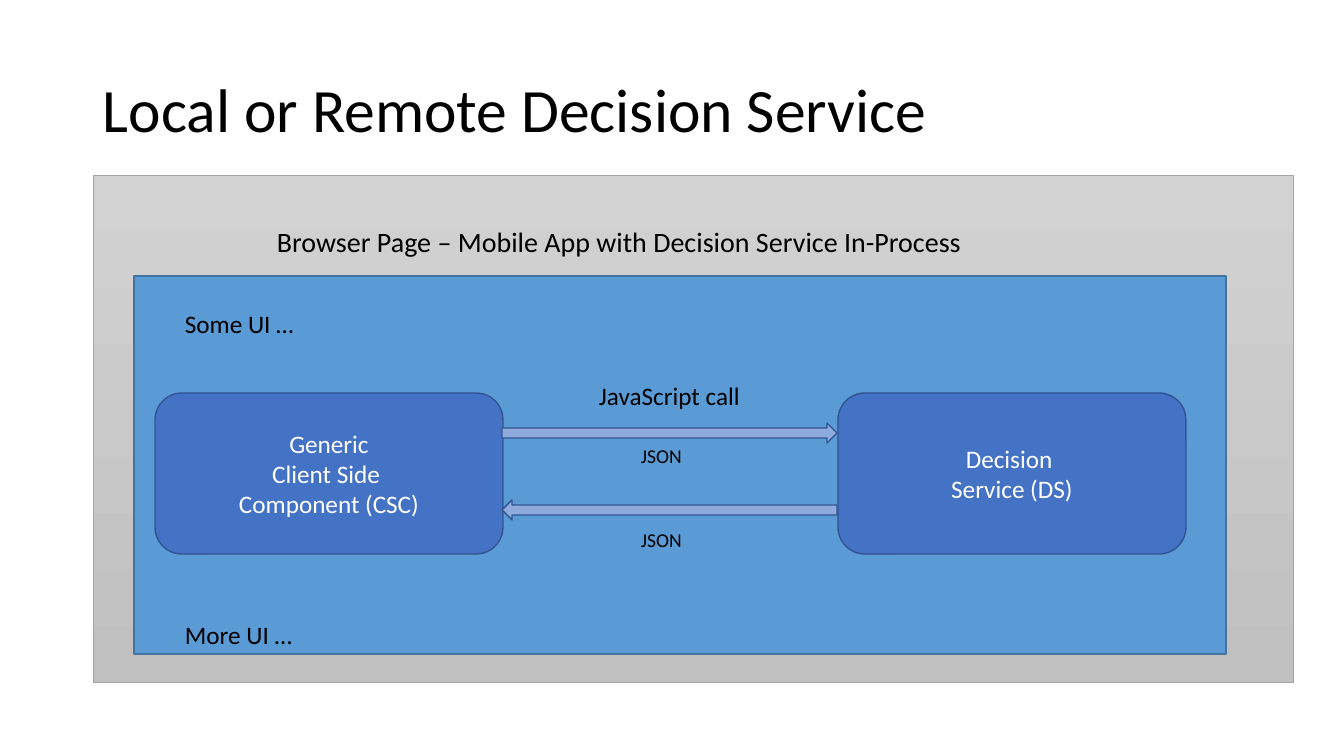
from dataclasses import dataclass

from pptx import Presentation
from pptx.dml.color import RGBColor
from pptx.enum.shapes import MSO_SHAPE
from pptx.enum.text import MSO_ANCHOR, MSO_AUTO_SIZE, PP_ALIGN
from pptx.util import Pt

RECT = MSO_SHAPE.RECTANGLE
ROUND = MSO_SHAPE.ROUNDED_RECTANGLE
ARROW = MSO_SHAPE.LEFT_ARROW
MIDDLE = MSO_ANCHOR.MIDDLE
TOP = MSO_ANCHOR.TOP
GROW = MSO_AUTO_SIZE.SHAPE_TO_FIT_TEXT
FIXED = MSO_AUTO_SIZE.NONE
LEFT = PP_ALIGN.LEFT
CENTER = PP_ALIGN.CENTER
SCALE = 914400 / 100.8


@dataclass(frozen=True)
class Theme:
    """Colours, font and type sizes of the slide."""
    font: str = "Calibri"
    ink: str = "000000"
    white: str = "FFFFFF"
    page: tuple = ("D2D2D2", "C0C0C0")
    rim: str = "A5A5A5"
    panel: str = "5B9BD5"
    edge: str = "43739E"
    node: str = "4472C4"
    line: str = "325491"
    arrow: str = "8FAADC"
    title: int = 44
    head: int = 20
    body: int = 18
    small: int = 14


THEME = Theme()


def px(*values):
    """Turn whole pixels into EMU."""
    return [round(value * SCALE) for value in values]


def apply(target, values):
    """Set each named format value on the target."""
    for name, value in values.items():
        setattr(target, name, value)


def write(frame, lines, size, color, align=LEFT, space=None, **format):
    """Fill a text frame with one paragraph per line."""
    apply(frame, format)
    frame.text = "\n".join(lines)
    for para in frame.paragraphs:
        apply(para, {"alignment": align, "line_spacing": space})
        font = para.runs[0].font
        apply(font, {"name": THEME.font, "size": Pt(size)})
        font.color.rgb = RGBColor.from_string(color)


def label(slide, box, text, size, **format):
    """Add a text box holding one line of text."""
    values = {"word_wrap": False, "auto_size": GROW, "vertical_anchor": TOP}
    frame = slide.shapes.add_textbox(*px(*box)).text_frame
    write(frame, [text], size, THEME.ink, **(values | format))


def block(slide, kind, box, fill, line, width=1):
    """Add a preset shape with a solid fill, or a gradient from a tuple."""
    shape = slide.shapes.add_shape(kind, *px(*box))
    shape.shadow.inherit = False
    if isinstance(fill, tuple):
        shape.fill.gradient()
        shape.fill.gradient_angle = 270
        for stop, color in zip(shape.fill.gradient_stops, fill):
            stop.color.rgb = RGBColor.from_string(color)
    else:
        shape.fill.solid()
        shape.fill.fore_color.rgb = RGBColor.from_string(fill)
    shape.line.color.rgb = RGBColor.from_string(line)
    shape.line.width = Pt(width)
    return shape


def node(slide, left, lines):
    """Add a rounded component box with centred text."""
    shape = block(slide, ROUND, (left, 393, 348, 161), THEME.node, THEME.line)
    write(shape.text_frame, lines, THEME.body, THEME.white, CENTER,
          word_wrap=True, vertical_anchor=MIDDLE)


def arrow(slide, top, turn):
    """Add a block arrow between the two components."""
    shape = block(slide, ARROW, (502, top, 335, 20), THEME.arrow, THEME.line)
    shape.rotation = turn


def main():
    """Build the slide and save it."""
    deck = Presentation()
    deck.slide_width, deck.slide_height = px(1344, 756)
    slide = deck.slides.add_slide(deck.slide_layouts[6])

    block(slide, RECT, (93, 175, 1200, 507), THEME.page, THEME.rim, 0.5)
    block(slide, RECT, (134, 276, 1092, 378), THEME.panel, THEME.edge)
    label(slide, (93, 40, 1159, 146), "Local or Remote Decision Service",
          THEME.title, space=0.9, word_wrap=True, auto_size=FIXED,
          vertical_anchor=MIDDLE)

    node(slide, 155, ["Generic", "Client Side ", "Component (CSC)"])
    node(slide, 838, ["Decision ", "Service (DS)"])
    for top, turn in ((500, 0), (423, 180)):
        arrow(slide, top, turn)

    label(slide, (267, 220, 869, 44),
          "Browser Page – Mobile App with Decision Service In-Process",
          THEME.head, word_wrap=True)
    label(slide, (589, 375, 162, 40), "JavaScript call", THEME.body)
    for top, text in ((303, "Some UI …"), (614, "More UI …")):
        label(slide, (175, top, 130, 40), text, THEME.body)
    for top in (439, 523):
        label(slide, (631, top, 61, 34), "JSON", THEME.small)

    deck.save("out.pptx")


if __name__ == "__main__":
    main()
